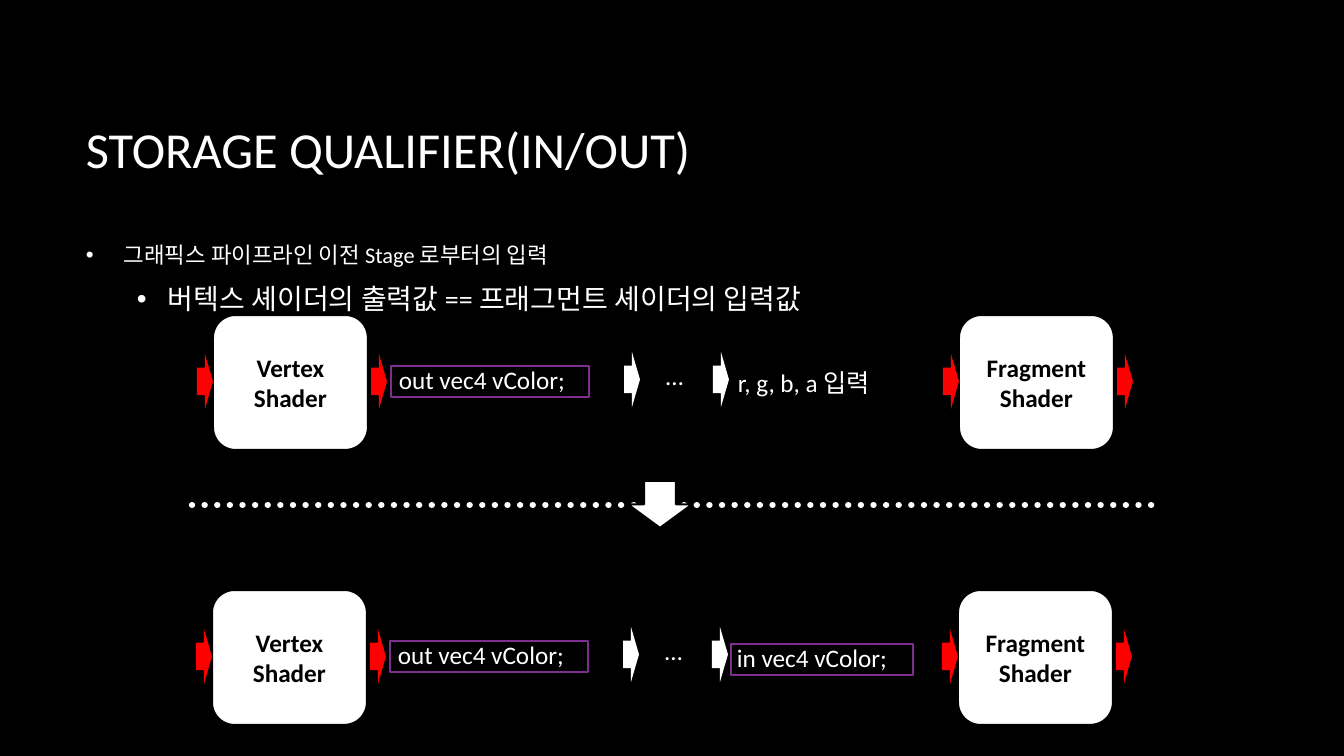
"""Build the slide on GLSL in/out storage qualifiers."""
import pptx
import pptx.dml.color
import pptx.enum.dml
import pptx.enum.shapes
import pptx.enum.text
import pptx.oxml
import pptx.oxml.ns
import pptx.util

PX = 914400 / 100.8
FONT = "Calibri"
WHITE, BLACK, RED, PURPLE = "FFFFFF", "000000", "FF0000", "7F2E8F"
SHAPE = pptx.enum.shapes.MSO_SHAPE
MIDDLE = pptx.enum.text.MSO_ANCHOR.MIDDLE

TITLE = "STORAGE QUALIFIER(IN/OUT)"
BULLETS = [
    ("그래픽스 파이프라인 이전 Stage 로부터의 입력", 16, 38, 38),
    ("버텍스 셰이더의 출력값 == 프래그먼트 셰이더의 입력값", 20, 82, 31),
]
STAGES = [("Vertex Shader", 213), ("Fragment Shader", 959)]
OUTPUT = "out vec4 vColor;"
ROWS = [
    {"dx": 0, "dy": 0, "input": "r, g, b, a 입력", "framed": False},
    {"dx": -1, "dy": 275, "input": "in vec4 vColor;", "framed": True},
]
FLOW_ARROWS = [624, 713]


def px(n):
    return pptx.util.Emu(round(n * PX))


def color(value):
    return pptx.dml.color.RGBColor.from_string(value)


def add_run(p, text, size, ink=WHITE, bold=False):
    r = p.add_run()
    r.text = text
    r.font.name = FONT
    r.font.size = pptx.util.Pt(size)
    r.font.bold = bold
    r.font.color.rgb = color(ink)


def add_text(s, x, y, w, h):
    tf = s.shapes.add_textbox(px(x), px(y), px(w), px(h)).text_frame
    tf.word_wrap = True
    return tf


def add_label(s, text, x, y, w):
    add_run(add_text(s, x, y, w, 40).paragraphs[0], text, 18)


def add_shape(s, kind, x, y, w, h, fill=None, line=None):
    sp = s.shapes.add_shape(kind, px(x), px(y), px(w), px(h))
    sp.shadow.inherit = False
    if fill:
        sp.fill.solid()
        sp.fill.fore_color.rgb = color(fill)
    else:
        sp.fill.background()
    if line:
        sp.line.color.rgb = color(line)
        sp.line.width = pptx.util.Pt(1.5)
    else:
        sp.line.fill.background()
    return sp


def add_arrow(s, x, y, fill):
    add_shape(s, SHAPE.RIGHT_ARROW, x, y, 16, 55, fill)


def add_stage(s, name, x, y):
    sp = add_shape(s, SHAPE.ROUNDED_RECTANGLE, x, y, 155, 135, WHITE, BLACK)
    tf = sp.text_frame
    tf.word_wrap = True
    tf.vertical_anchor = MIDDLE
    p = tf.paragraphs[0]
    p.alignment = pptx.enum.text.PP_ALIGN.CENTER
    add_run(p, name, 18, BLACK, True)
    for offset in (-16, 158):
        add_arrow(s, x + offset, y + 39, RED)


def add_divider(s):
    line = s.shapes.add_connector(
        pptx.enum.shapes.MSO_CONNECTOR.STRAIGHT, px(192), px(505), px(1152), px(505))
    line.line.color.rgb = color(WHITE)
    line.line.width = pptx.util.Pt(4.5)
    line.line.dash_style = pptx.enum.dml.MSO_LINE.ROUND_DOT
    props = line._element.spPr
    props.find(pptx.oxml.ns.qn("a:ln")).set("cap", "rnd")
    props.append(pptx.oxml.parse_xml(f"<a:effectLst {pptx.oxml.ns.nsdecls('a')}/>"))


def add_bullets(s):
    tf = add_text(s, 76, 236, 1117, 402)
    for i, (text, size, margin, hang) in enumerate(BULLETS):
        p = tf.add_paragraph() if i else tf.paragraphs[0]
        p.space_after = pptx.util.Pt(10)
        add_run(p, text, size)
        props = p._p.get_or_add_pPr()
        props.set("marL", str(px(margin)))
        props.set("indent", str(px(-hang)))
        ns = pptx.oxml.ns.nsdecls("a")
        for xml in (f'<a:buClr {ns}><a:srgbClr val="{WHITE}"/></a:buClr>',
                    f'<a:buFont {ns} typeface="Arial"/>',
                    f'<a:buChar {ns} char="•"/>'):
            props.append(pptx.oxml.parse_xml(xml))


def add_row(s, row):
    dx, dy = row["dx"], row["dy"]
    for name, x in STAGES:
        add_stage(s, name, x + dx, 315 + dy)
    add_label(s, OUTPUT, 389 + dx, 359 + dy, 255)
    add_shape(s, SHAPE.RECTANGLE, 391 + dx, 366 + dy, 198, 31, line=PURPLE)
    add_label(s, "…", 656 + dx, 355 + dy, 56)
    add_label(s, row["input"], 728 + dx, 362 + dy, 215)
    if row["framed"]:
        add_shape(s, SHAPE.RECTANGLE, 732 + dx, 369 + dy, 182, 31, line=PURPLE)
    for x in FLOW_ARROWS:
        add_arrow(s, x + dx, 352 + dy, WHITE)


def main():
    prs = pptx.Presentation()
    prs.slide_width, prs.slide_height = px(1344), px(756)
    s = prs.slides.add_slide(prs.slide_layouts[6])
    s.background.fill.solid()
    s.background.fill.fore_color.rgb = color(BLACK)
    add_divider(s)
    tf = add_text(s, 76, 68, 1117, 160)
    tf.vertical_anchor = MIDDLE
    add_run(tf.paragraphs[0], TITLE, 36)
    add_bullets(s)
    for row in ROWS:
        add_row(s, row)
    add_shape(s, SHAPE.DOWN_ARROW, 628, 481, 64, 47, WHITE, BLACK)
    prs.save("out.pptx")


if __name__ == "__main__":
    main()
